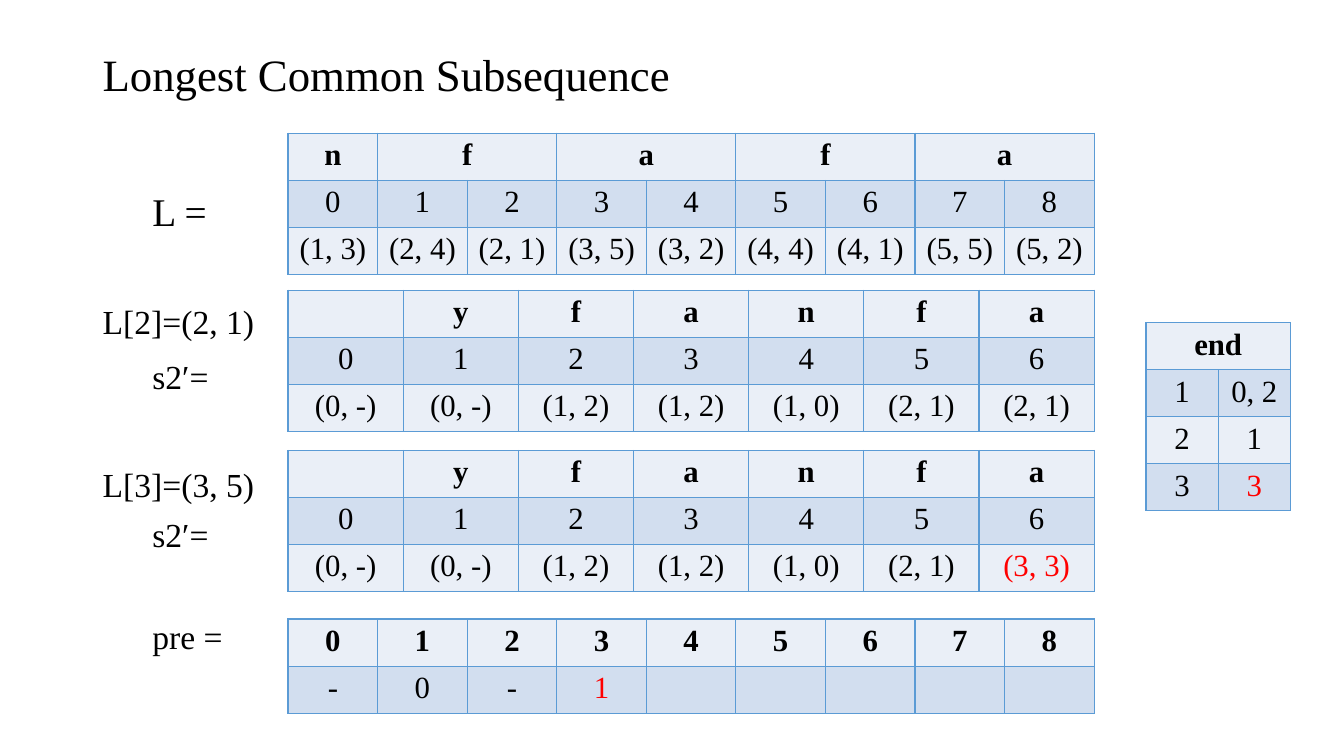
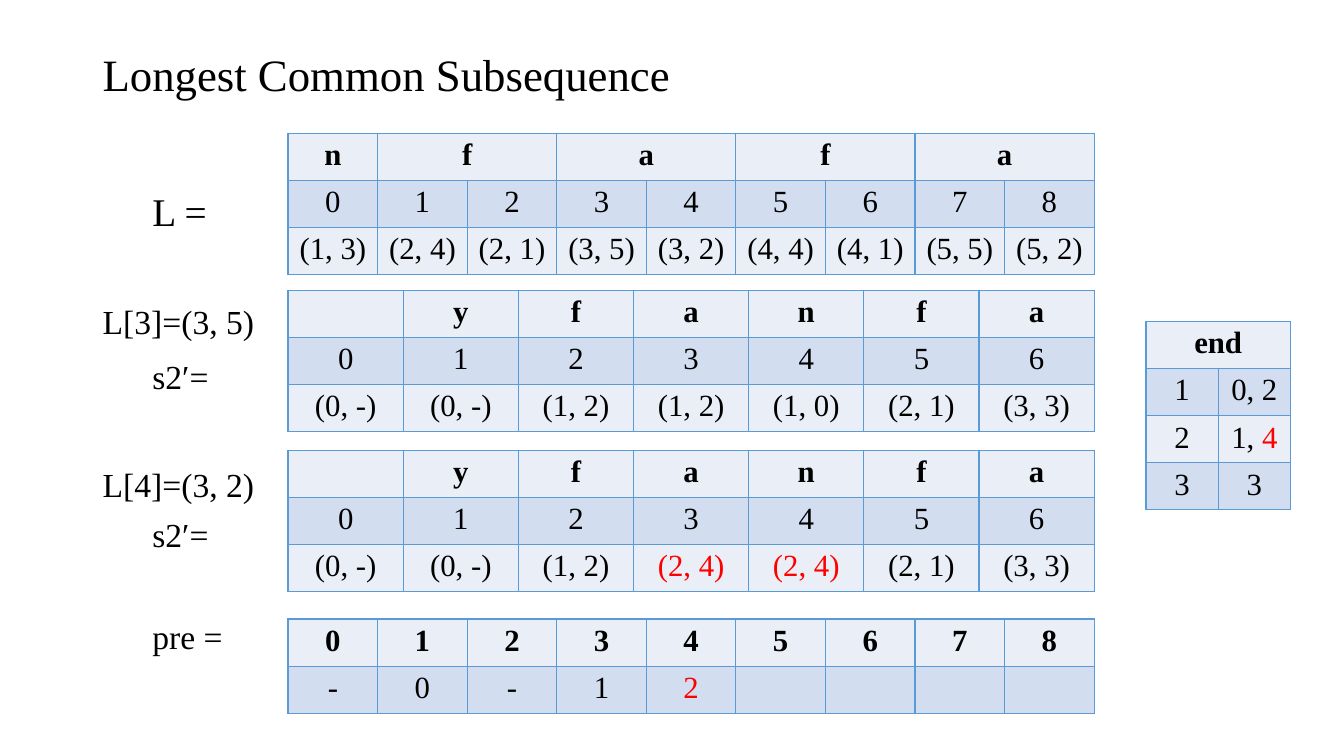
from lxml import etree
from pptx import Presentation
from pptx.dml.color import RGBColor
from pptx.enum import text
from pptx.oxml import ns
from pptx.util import Cm, Pt

TITLE = "Longest Common Subsequence"
FONT = "Times New Roman"
BLACK, RED, BORDER = "000000", "FF0000", "5B9BD5"
BANDS = ("EAEFF7", "D2DEEF")

# In a cell, the text after "|" is red; None joins the cell to its left neighbour.
PAIRS = [
    ["n", "f", None, "a", None, "f", None, "a", None],
    [str(i) for i in range(9)],
    ["(1, 3)", "(2, 4)", "(2, 1)", "(3, 5)", "(3, 2)", "(4, 4)", "(4, 1)", "(5, 5)", "(5, 2)"],
]
S2_HEAD = [["", *"yfanfa"], [str(i) for i in range(7)]]
STEPS = [
    {
        "before": ("L[2]=(2, 1)", ["(0, -)", "(0, -)", "(1, 2)", "(1, 2)", "(1, 0)", "(2, 1)", "(2, 1)"]),
        "after": ("L[3]=(3, 5)", ["(0, -)", "(0, -)", "(1, 2)", "(1, 2)", "(1, 0)", "(2, 1)", "|(3, 3)"]),
        "pre": ["-", "0", "-", "|1"],
        "end": ["0, 2", "1", "|3"],
        "end_top": 8.13,
    },
    {
        "before": ("L[3]=(3, 5)", ["(0, -)", "(0, -)", "(1, 2)", "(1, 2)", "(1, 0)", "(2, 1)", "(3, 3)"]),
        "after": ("L[4]=(3, 2)", ["(0, -)", "(0, -)", "(1, 2)", "|(2, 4)", "|(2, 4)", "(2, 1)", "(3, 3)"]),
        "pre": ["-", "0", "-", "1", "|2"],
        "end": ["0, 2", "1, |4", "3"],
        "end_top": 8.1,
    },
]

MAIN_LEFT, MAIN_WIDTH = 7.26, 20.32
END_LEFT, END_WIDTH = 28.88, 3.64
ROW_HEIGHT = 1.12
LABEL_LEFT, LABEL_INDENT, LABEL_HEIGHT = 2.59, 1.25, 1.2


def rgb(hex_colour):
    return RGBColor.from_string(hex_colour)


def add_run(paragraph, words, size, colour=BLACK, bold=False):
    run = paragraph.add_run()
    run.text = words
    for key, value in {"name": FONT, "size": Pt(size), "bold": bold}.items():
        setattr(run.font, key, value)
    run.font.color.rgb = rgb(colour)


def set_borders(cell):
    props = cell._tc.get_or_add_tcPr()
    for side in ("a:lnL", "a:lnR", "a:lnT", "a:lnB"):
        line = etree.SubElement(props, ns.qn(side), w=str(Pt(1)))
        fill = etree.SubElement(line, ns.qn("a:solidFill"))
        etree.SubElement(fill, ns.qn("a:srgbClr"), val=BORDER)


def add_grid(slide, rows, top, left=MAIN_LEFT, width=MAIN_WIDTH, row_height=ROW_HEIGHT):
    """Add a banded table with a bold first row and equal columns."""
    count = len(rows[0])
    table = slide.shapes.add_table(
        len(rows), count, Cm(left), Cm(top), Cm(width), Cm(row_height * len(rows))
    ).table
    for column in table.columns:
        column.width = Cm(width / count)
    for r, row in enumerate(rows):
        table.rows[r].height = Cm(row_height)
        for c, content in enumerate(row):
            cell = table.cell(r, c)
            set_borders(cell)
            cell.fill.solid()
            cell.fill.fore_color.rgb = rgb(BANDS[r % 2])
            if content is None:
                table.cell(r, c - 1).merge(cell)
                continue
            paragraph = cell.text_frame.paragraphs[0]
            paragraph.alignment = text.PP_ALIGN.CENTER
            for words, colour in zip(content.split("|"), (BLACK, RED)):
                if words:
                    add_run(paragraph, words, 22, colour, bold=r == 0)


def add_label(slide, words, middle, indent=LABEL_INDENT, size=24):
    box = slide.shapes.add_textbox(
        Cm(LABEL_LEFT + indent), Cm(middle - LABEL_HEIGHT / 2),
        Cm(MAIN_LEFT - LABEL_LEFT - indent), Cm(LABEL_HEIGHT))
    frame = box.text_frame
    frame.word_wrap = True
    frame.vertical_anchor = text.MSO_ANCHOR.MIDDLE
    for side in ("left", "right", "top", "bottom"):
        setattr(frame, f"margin_{side}", 0)
    add_run(frame.paragraphs[0], words, size)


def add_title(slide):
    title = slide.shapes.title
    box = {"left": 2.33, "top": 1.02, "width": 29.21, "height": 1.85}
    for key, value in box.items():
        setattr(title, key, Cm(value))
    title.text_frame.vertical_anchor = text.MSO_ANCHOR.MIDDLE
    paragraph = title.text_frame.paragraphs[0]
    paragraph.alignment = text.PP_ALIGN.LEFT
    paragraph.line_spacing = 0.9
    add_run(paragraph, TITLE, 32)


def build_step(prs, step):
    slide = prs.slides.add_slide(prs.slide_layouts[5])
    add_title(slide)

    add_label(slide, "L =", 5.32, size=28)
    add_grid(slide, PAIRS, 3.36, row_height=1.14)

    for key, top, pair_middle, s2_middle in (("before", 7.31, 8.1, 9.48), ("after", 11.35, 12.2, 13.46)):
        pair, values = step[key]
        add_label(slide, pair, pair_middle, indent=0)
        add_label(slide, "s2′=", s2_middle)
        add_grid(slide, S2_HEAD + [values], top)

    add_label(slide, "pre =", 16.02)
    known = step["pre"]
    add_grid(slide, [PAIRS[1], known + [""] * (len(PAIRS[1]) - len(known))], 15.6)

    ends = [[str(i), value] for i, value in enumerate(step["end"], 1)]
    add_grid(slide, [["end", None]] + ends, step["end_top"], END_LEFT, END_WIDTH)


def main():
    prs = Presentation()
    prs.slide_width, prs.slide_height = Cm(33.87), Cm(19.05)
    for step in STEPS:
        build_step(prs, step)
    prs.save("out.pptx")


if __name__ == "__main__":
    main()
